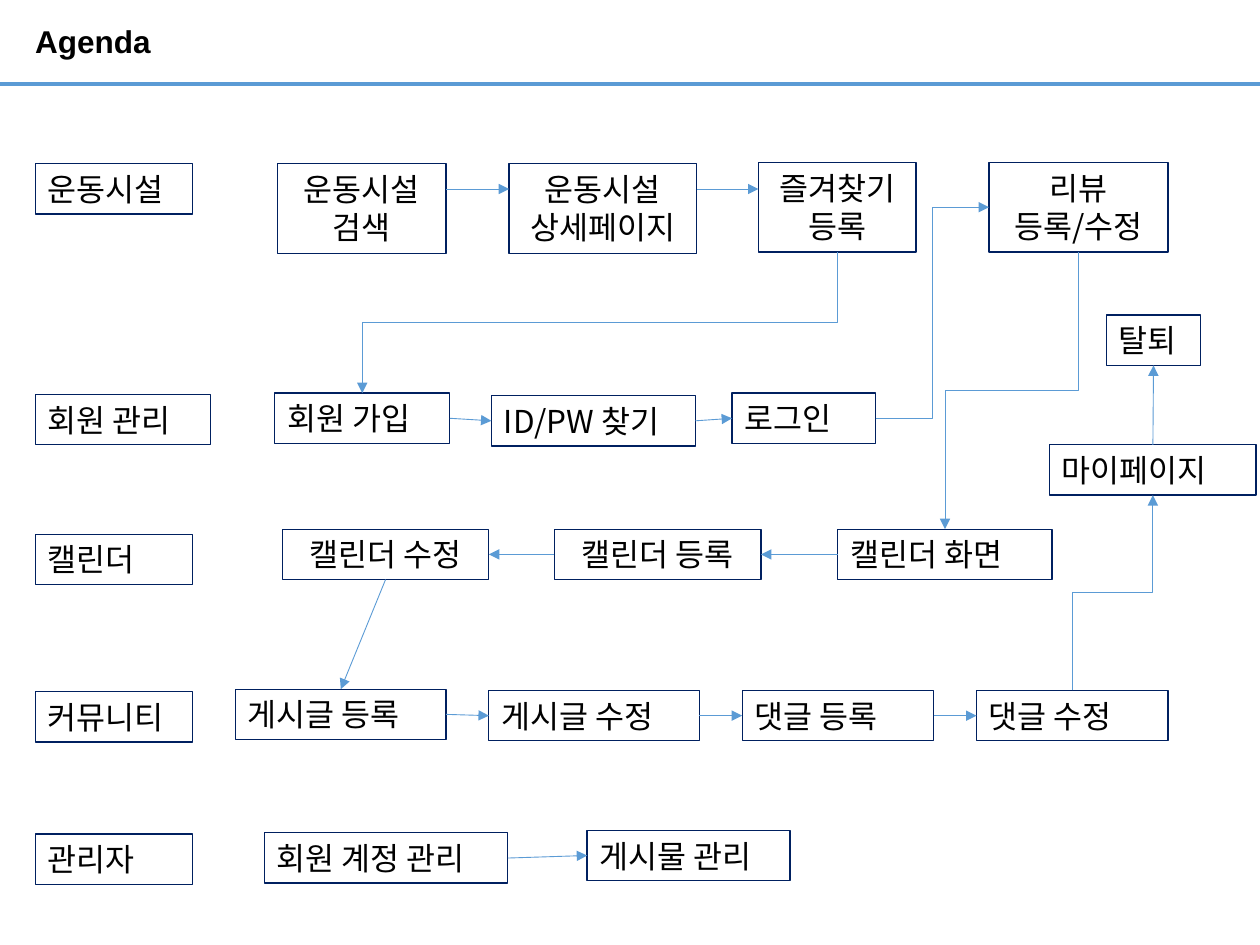
"""Build the agenda slide: a flow of service screens grouped by area."""
from dataclasses import dataclass

from lxml.etree import SubElement
from pptx import Presentation
from pptx.dml.color import RGBColor
from pptx.enum.shapes import MSO_CONNECTOR as Connector, MSO_SHAPE as Shape
from pptx.enum.text import MSO_ANCHOR as Anchor, MSO_AUTO_SIZE as AutoSize, PP_ALIGN as Align
from pptx.oxml.ns import qn
from pptx.util import Inches, Pt

TOP, LEFT, BOTTOM, RIGHT = range(4)


@dataclass(frozen=True)
class Theme:
    text: RGBColor = RGBColor(0, 0, 0)
    border: RGBColor = RGBColor(0x00, 0x20, 0x60)
    accent: RGBColor = RGBColor(0x5B, 0x9B, 0xD5)
    title_font: str = "Arial"
    body_font: str = "Noto Sans CJK KR"
    size: Pt = Pt(18)
    border_width: Pt = Pt(0.75)
    arrow_width: Pt = Pt(0.5)
    rule_width: Pt = Pt(2.25)


class FlowSlide:
    def __init__(self, slide, theme):
        self.shapes = slide.shapes
        self.theme = theme

    def set_font(self, paragraph, name, bold=False):
        font = paragraph.font
        font.name, font.size, font.bold = name, self.theme.size, bold
        font.color.rgb = self.theme.text
        properties = paragraph._p.pPr.find(qn("a:defRPr"))
        SubElement(properties, qn("a:ea")).set("typeface", name)

    def title(self, text):
        shape = self.shapes.add_textbox(Inches(0.28), 0, Inches(6.54), Inches(0.68))
        frame = shape.text_frame
        frame.word_wrap = True
        frame.vertical_anchor = Anchor.MIDDLE
        frame.margin_left = frame.margin_right = frame.margin_top = frame.margin_bottom = 0
        frame.text = text
        paragraph = frame.paragraphs[0]
        paragraph.line_spacing = 0.9
        self.set_font(paragraph, self.theme.title_font, bold=True)

    def box(self, text, left, top, width, height=0.4, align=Align.LEFT):
        shape = self.shapes.add_shape(
            Shape.RECTANGLE, Inches(left), Inches(top), Inches(width), Inches(height))
        shape.shadow.inherit = False
        shape.fill.background()
        shape.line.color.rgb = self.theme.border
        shape.line.width = self.theme.border_width
        frame = shape.text_frame
        frame.word_wrap = True
        frame.auto_size = AutoSize.SHAPE_TO_FIT_TEXT
        frame.vertical_anchor = Anchor.TOP
        frame.text = text
        for paragraph in frame.paragraphs:
            paragraph.alignment = align
            self.set_font(paragraph, self.theme.body_font)
        return shape

    def line(self, start, end, width, kind=Connector.STRAIGHT):
        connector = self.shapes.add_connector(kind, *map(Inches, start + end))
        connector.line.color.rgb = self.theme.accent
        connector.line.width = width
        SubElement(connector._element.spPr, qn("a:effectLst"))
        return connector

    def arrow(self, start=(0, 0), end=(0, 0), kind=Connector.STRAIGHT):
        connector = self.line(start, end, self.theme.arrow_width, kind)
        SubElement(connector.line._get_or_add_ln(), qn("a:tailEnd")).set("type", "triangle")
        return connector

    def link(self, source, source_side, target, target_side, kind=Connector.STRAIGHT):
        connector = self.arrow(kind=kind)
        connector.begin_connect(source, source_side)
        connector.end_connect(target, target_side)
        if kind == Connector.ELBOW and source_side in (TOP, BOTTOM):
            self.turn_upright(connector)

    def turn_upright(self, connector):
        across = connector.end_x - connector.begin_x
        down = connector.end_y - connector.begin_y
        center_x = (connector.begin_x + connector.end_x) // 2
        center_y = (connector.begin_y + connector.end_y) // 2
        connector.width, connector.height = abs(down), abs(across)
        connector.left = center_x - abs(down) // 2
        connector.top = center_y - abs(across) // 2
        transform = connector._element.spPr.find(qn("a:xfrm"))
        transform.set("rot", str(90 * 60000))
        transform.set("flipH", str(int(down < 0)))
        transform.set("flipV", str(int(across > 0)))


AREAS = [
    ("운동시설", 1.3, 1.25),
    ("회원 관리", 3.13, 1.39),
    ("캘린더", 4.24, 1.25),
    ("커뮤니티", 5.49, 1.25),
    ("관리자", 6.62, 1.25),
]
TALL = (0.71, Align.CENTER)
CENTERED = (0.4, Align.CENTER)
SCREENS = {
    "search": ("운동시설 검색", 2.2, 1.3, 1.34, *TALL),
    "detail": ("운동시설\n상세페이지", 4.04, 1.3, 1.49, *TALL),
    "favorite": ("즐겨찾기 등록", 6.02, 1.29, 1.25, *TALL),
    "review": ("리뷰\n등록/수정", 7.85, 1.29, 1.42, *TALL),
    "sign_up": ("회원 가입", 2.18, 3.12, 1.39),
    "find_account": ("ID/PW 찾기", 3.9, 3.14, 1.62),
    "login": ("로그인", 5.81, 3.12, 1.14),
    "my_page": ("마이페이지", 8.33, 3.53, 1.64),
    "leave": ("탈퇴", 8.78, 2.5, 0.75),
    "calendar_edit": ("캘린더 수정", 2.24, 4.2, 1.64, *CENTERED),
    "calendar_add": ("캘린더 등록", 4.4, 4.2, 1.64, *CENTERED),
    "calendar_view": ("캘린더 화면", 6.65, 4.2, 1.7),
    "post_add": ("게시글 등록", 1.87, 5.47, 1.67),
    "post_edit": ("게시글 수정", 3.88, 5.48, 1.67),
    "comment_add": ("댓글 등록", 5.89, 5.48, 1.52),
    "comment_edit": ("댓글 수정", 7.75, 5.48, 1.52),
    "accounts": ("회원 계정 관리", 2.1, 6.61, 1.93),
    "posts": ("게시물 관리", 4.66, 6.59, 1.61),
}
LINKS = [
    ("favorite", BOTTOM, "sign_up", TOP, Connector.ELBOW),
    ("sign_up", RIGHT, "find_account", LEFT),
    ("find_account", RIGHT, "login", LEFT),
    ("login", RIGHT, "review", LEFT, Connector.ELBOW),
    ("review", BOTTOM, "calendar_view", TOP, Connector.ELBOW),
    ("calendar_view", LEFT, "calendar_add", RIGHT),
    ("calendar_add", LEFT, "calendar_edit", RIGHT),
    ("calendar_edit", BOTTOM, "post_add", TOP),
    ("post_add", RIGHT, "post_edit", LEFT),
    ("post_edit", RIGHT, "comment_add", LEFT),
    ("comment_add", RIGHT, "comment_edit", LEFT),
    ("comment_edit", TOP, "my_page", BOTTOM, Connector.ELBOW),
    ("my_page", TOP, "leave", BOTTOM),
    ("accounts", RIGHT, "posts", LEFT),
]


def main():
    presentation = Presentation()
    presentation.slide_width, presentation.slide_height = Inches(10), Inches(7.5)
    slide = presentation.slides.add_slide(presentation.slide_layouts[6])
    theme = Theme()
    flow = FlowSlide(slide, theme)

    flow.line((0, 0.67), (10, 0.67), theme.rule_width)
    flow.title("Agenda")
    for text, top, width in AREAS:
        flow.box(text, 0.28, top, width)
    screens = {name: flow.box(*values) for name, values in SCREENS.items()}
    for start, end in ((3.54, 4.04), (5.53, 6.02)):
        flow.arrow((start, 1.5), (end, 1.5))
    for source, source_side, target, target_side, *kind in LINKS:
        flow.link(screens[source], source_side, screens[target], target_side, *kind)

    presentation.save("out.pptx")


if __name__ == "__main__":
    main()
